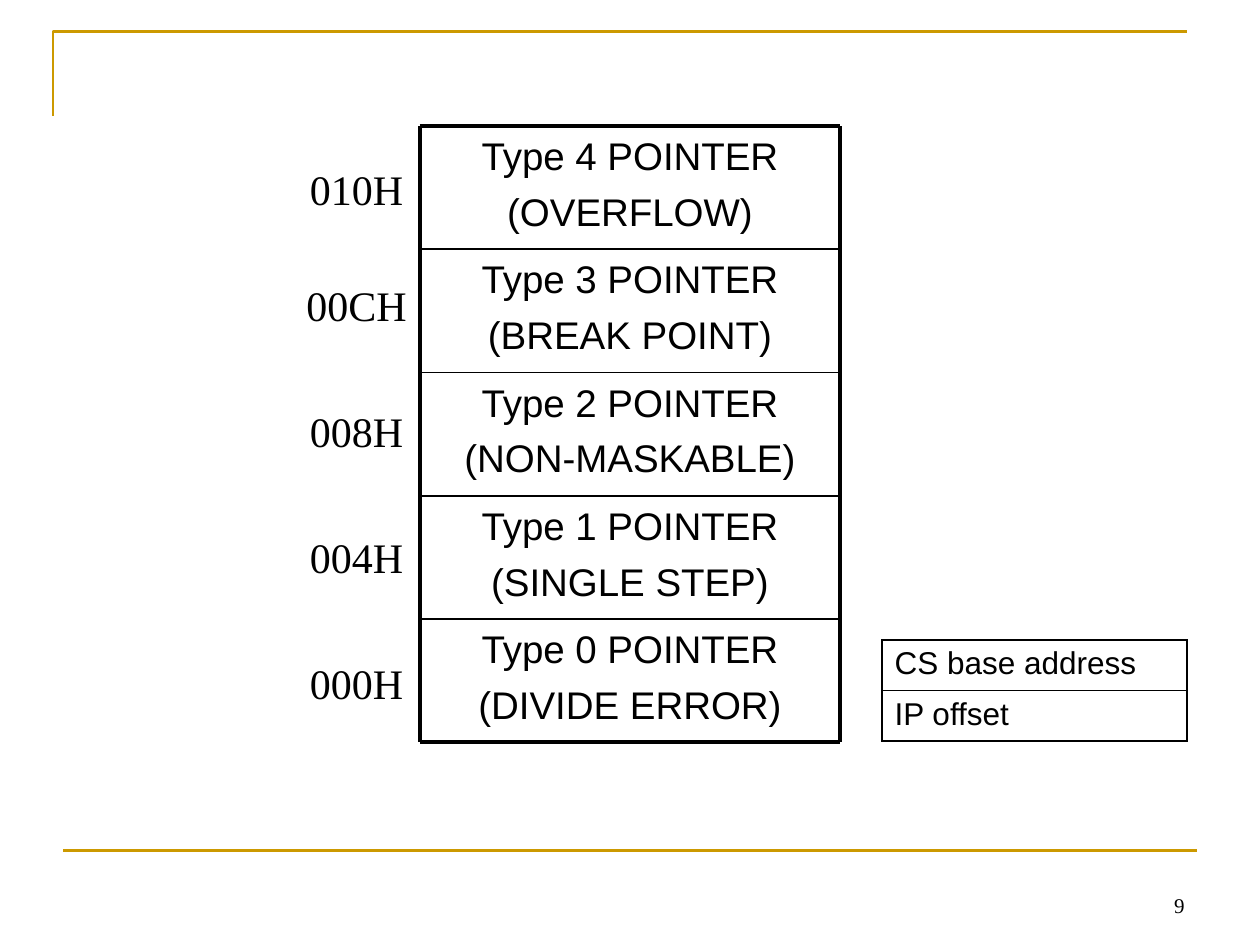
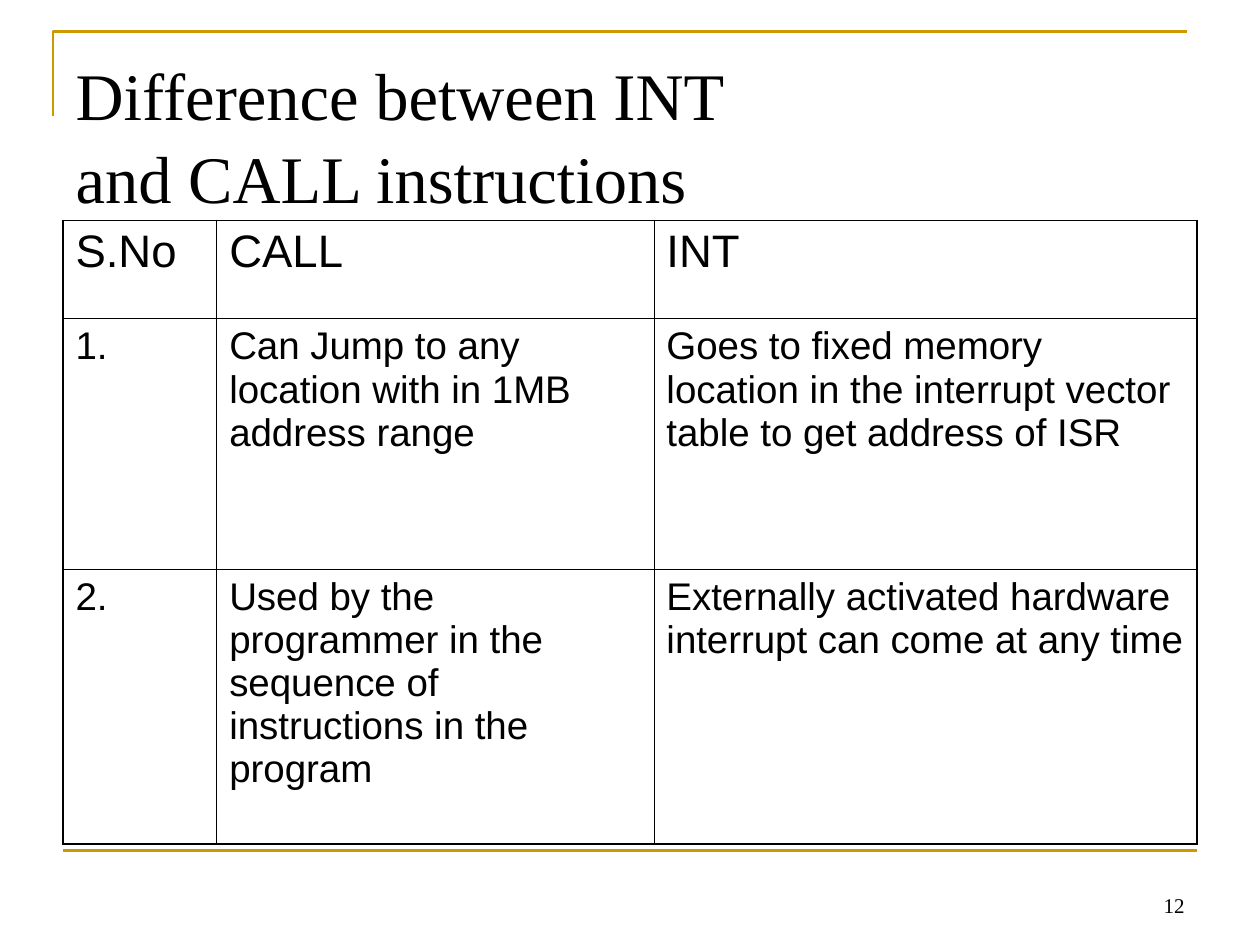
"""Build two slides on interrupt pointers and the INT and CALL instructions."""
from dataclasses import dataclass

from lxml import etree
from pptx import Presentation
from pptx.dml.color import RGBColor
from pptx.enum.shapes import MSO_CONNECTOR
from pptx.enum.text import MSO_ANCHOR, MSO_AUTO_SIZE, PP_ALIGN
from pptx.oxml.ns import qn
from pptx.util import Inches, Pt

STRAIGHT = MSO_CONNECTOR.STRAIGHT
TOP, BOTTOM = MSO_ANCHOR.TOP, MSO_ANCHOR.BOTTOM
LEFT, CENTER, RIGHT = PP_ALIGN.LEFT, PP_ALIGN.CENTER, PP_ALIGN.RIGHT
NO_AUTOFIT = MSO_AUTO_SIZE.NONE
TITLE_ONLY, BLANK = 5, 6


@dataclass(frozen=True)
class Theme:
    """Colours, fonts, type sizes and line widths of the deck."""

    ink: str = "000000"
    gold: str = "CC9900"
    serif: str = "Times New Roman"
    sans: str = "Arial"
    title: float = 38
    header: float = 26
    body: float = 22
    address: float = 24
    small: float = 18
    number: float = 12
    rule: float = 1.5
    heavy: float = 2.25
    divider: float = 1
    table_edge: float = 1.08
    table_inner: float = 0.45


THEME = Theme()


def style_paragraph(paragraph, font, size, align=LEFT):
    """Set the font and alignment of a paragraph."""
    paragraph.alignment = align
    paragraph.font.name = font
    paragraph.font.size = Pt(size)
    paragraph.font.color.rgb = RGBColor.from_string(THEME.ink)


def add_text(page, place, lines, font, size, align=CENTER, anchor=TOP):
    """Add a text box with one paragraph per line."""
    frame = page.shapes.add_textbox(*map(Inches, place)).text_frame
    frame.word_wrap = True
    frame.vertical_anchor = anchor
    frame.text = "\n".join(lines)
    for index, paragraph in enumerate(frame.paragraphs):
        style_paragraph(paragraph, font, size, align)
        if index:
            paragraph.space_before = Pt(size / 4)


def add_rule(page, start, end, color, width):
    """Add a straight line without a shadow."""
    rule = page.shapes.add_connector(STRAIGHT, *map(Inches, start + end))
    rule.line.color.rgb = RGBColor.from_string(color)
    rule.line.width = Pt(width)
    etree.SubElement(rule._element.spPr, qn("a:effectLst"))


def add_frame(page, number):
    """Draw the gold corner, the footer line and the page number."""
    builder = page.shapes.build_freeform(Inches(0.42), Inches(0.92))
    corner_points = [(0.42, 0.25), (9.42, 0.25)]
    builder.add_line_segments(
        [(Inches(x), Inches(y)) for x, y in corner_points], close=False)
    corner = builder.convert_to_shape()
    corner.shadow.inherit = False
    corner.fill.background()
    corner.line.color.rgb = RGBColor.from_string(THEME.gold)
    corner.line.width = Pt(THEME.rule)
    add_rule(page, (0.5, 6.75), (9.5, 6.75), THEME.gold, THEME.rule)
    add_text(page, (7.17, 6.83, 2.33, 0.5), [str(number)],
             THEME.serif, THEME.number, RIGHT, BOTTOM)


def add_page(deck, layout, number):
    """Add a slide with the shared frame."""
    page = deck.slides.add_slide(deck.slide_layouts[layout])
    add_frame(page, number)
    return page


def set_title(page, text):
    """Place and format the title placeholder."""
    title = page.shapes.title
    title.left, title.top, title.width, title.height = map(
        Inches, (0.5, 0.3, 9, 1.25))
    frame = title.text_frame
    frame.text = text
    frame.auto_size = NO_AUTOFIT
    frame.vertical_anchor = TOP
    frame.margin_top = Inches(0.1)
    paragraph = frame.paragraphs[0]
    style_paragraph(paragraph, THEME.serif, THEME.title)
    paragraph.line_spacing = 1.04


def set_borders(cell, outer_sides):
    """Draw the four cell borders, heavier on the table's outer sides."""
    properties = cell._tc.get_or_add_tcPr()
    for side in "LRTB":
        width = THEME.table_edge if side in outer_sides else THEME.table_inner
        border = etree.SubElement(
            properties, qn(f"a:ln{side}"), w=str(int(Pt(width))))
        fill = etree.SubElement(border, qn("a:solidFill"))
        etree.SubElement(fill, qn("a:srgbClr"), val=THEME.ink)


def add_grid(page, place, widths, heights, rows, sizes):
    """Add a plain ruled table with one type size per row."""
    shape = page.shapes.add_table(len(rows), len(widths), *map(Inches, place))
    table = shape.table
    table.first_row = table.horz_banding = False
    for column, width in zip(table.columns, widths):
        column.width = Inches(width)
    for row_index, (texts, height, size) in enumerate(zip(rows, heights, sizes)):
        table.rows[row_index].height = Inches(height)
        for column_index, text in enumerate(texts):
            cell = table.cell(row_index, column_index)
            cell.text = text
            style_paragraph(cell.text_frame.paragraphs[0], THEME.sans, size)
            edges = {"T": row_index == 0, "B": row_index == len(rows) - 1,
                     "L": column_index == 0, "R": column_index == len(widths) - 1}
            set_borders(cell, [side for side, outer in edges.items() if outer])
            cell.fill.background()


def add_pointer_stack(page, pointers):
    """Draw the ruled stack of pointers with their addresses."""
    left, right, top, bottom = 3.33, 6.67, 1, 5.89
    pitch = (bottom - top) / len(pointers)
    for index, (kind, cause, address, address_top) in enumerate(pointers):
        add_text(page, (left, top + index * pitch, right - left, pitch),
                 [kind, cause], THEME.sans, THEME.body)
        add_text(page, (2.33, address_top, 1, 0.5), [address],
                 THEME.serif, THEME.address)
    for index in range(len(pointers) + 1):
        y = top + index * pitch
        width = THEME.heavy if index in (0, len(pointers)) else THEME.divider
        add_rule(page, (left, y), (right, y), THEME.ink, width)
    for x in (left, right):
        add_rule(page, (x, top), (x, bottom), THEME.ink, THEME.heavy)


def build_pointer_page(deck):
    """Build the slide with the interrupt pointer stack."""
    page = add_page(deck, BLANK, 9)
    add_pointer_stack(page, [
        ("Type 4 POINTER", "(OVERFLOW)", "010H", 1.25),
        ("Type 3 POINTER", "(BREAK POINT)", "00CH", 2.17),
        ("Type 2 POINTER", "(NON-MASKABLE)", "008H", 3.17),
        ("Type 1 POINTER", "(SINGLE STEP)", "004H", 4.17),
        ("Type 0 POINTER", "(DIVIDE ERROR)", "000H", 5.17),
    ])
    add_grid(page, (7, 5.08, 2.42, 0.8), [2.42], [0.4, 0.4],
             [["CS base address"], ["IP offset"]], [THEME.small] * 2)


def build_comparison_page(deck):
    """Build the slide that compares CALL with INT."""
    page = add_page(deck, TITLE_ONLY, 12)
    set_title(page, "Difference between INT\vand CALL instructions")
    rows = [
        ["S.No", "CALL", "INT"],
        ["1.", "Can Jump to any location with in 1MB address range",
         "Goes to fixed memory location in the interrupt vector table "
         "to get address of ISR"],
        ["2.", "Used by the programmer in the sequence of instructions "
         "in the program",
         "Externally activated hardware interrupt can come at any time"],
    ]
    add_grid(page, (0.5, 1.75, 9, 4.95), [1.22, 3.47, 4.31],
             [0.78, 1.99, 2.18], rows, [THEME.header, THEME.body, THEME.body])


def main():
    """Build and save the deck."""
    deck = Presentation()
    deck.slide_width, deck.slide_height = Inches(10), Inches(7.5)
    build_pointer_page(deck)
    build_comparison_page(deck)
    deck.save("out.pptx")


if __name__ == "__main__":
    main()
